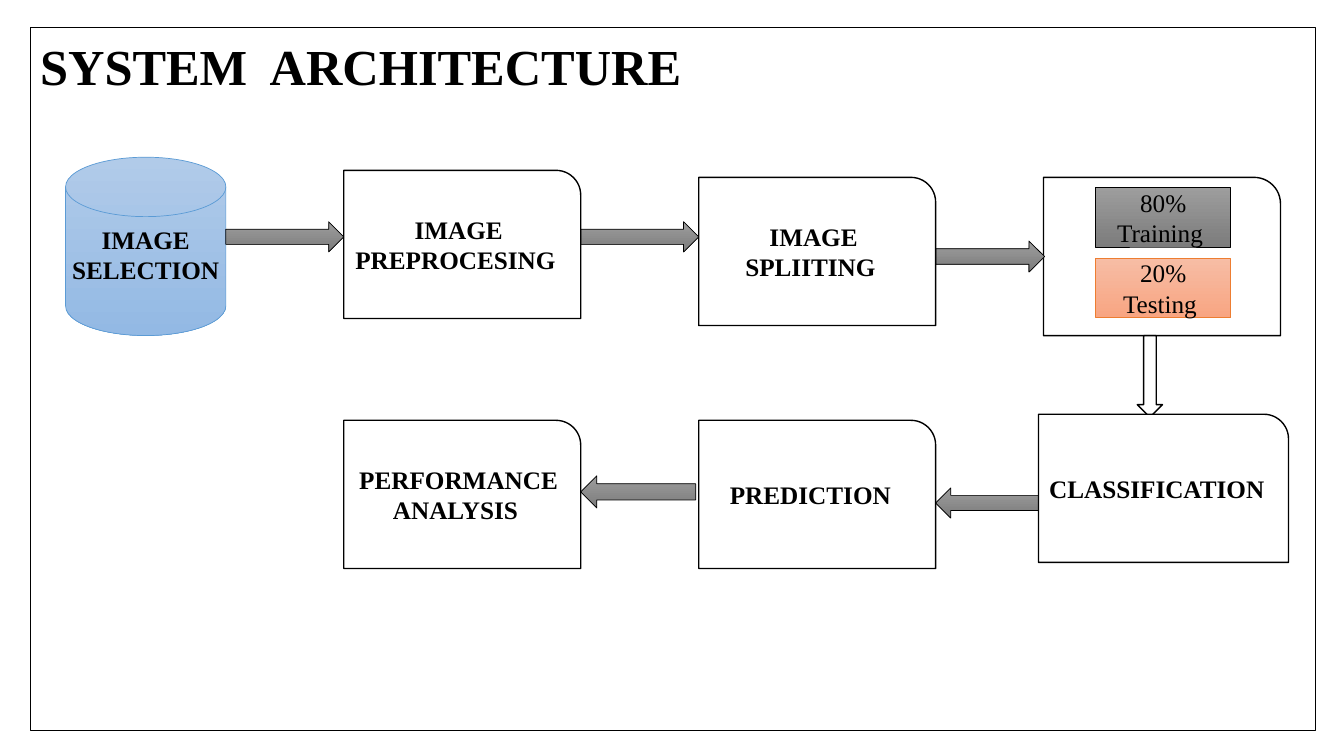
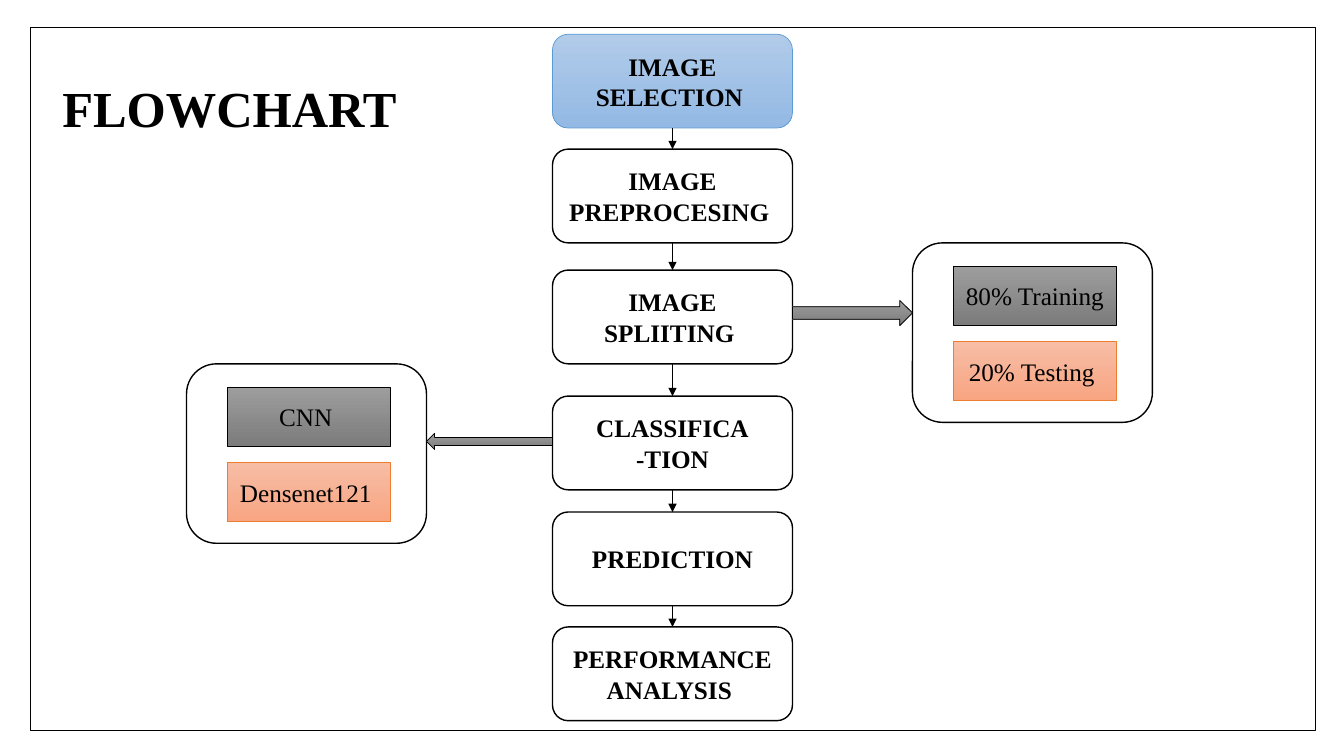
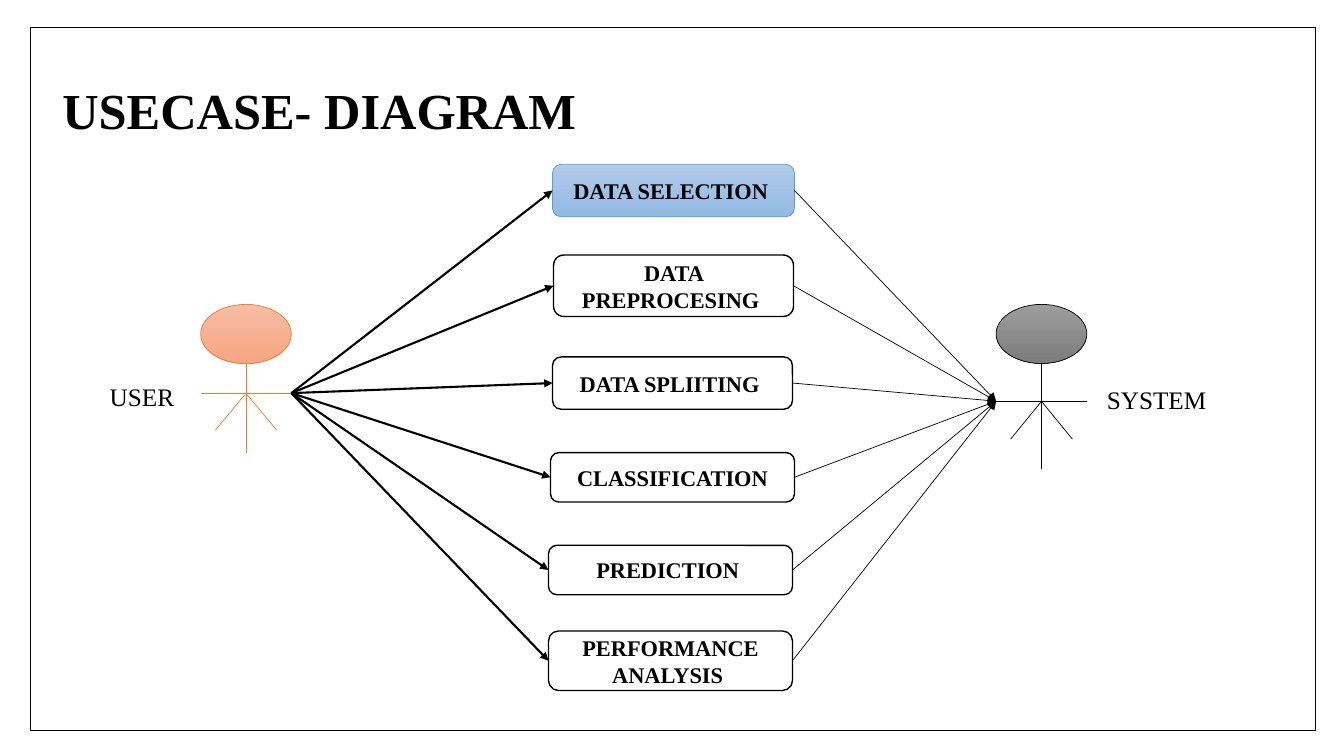
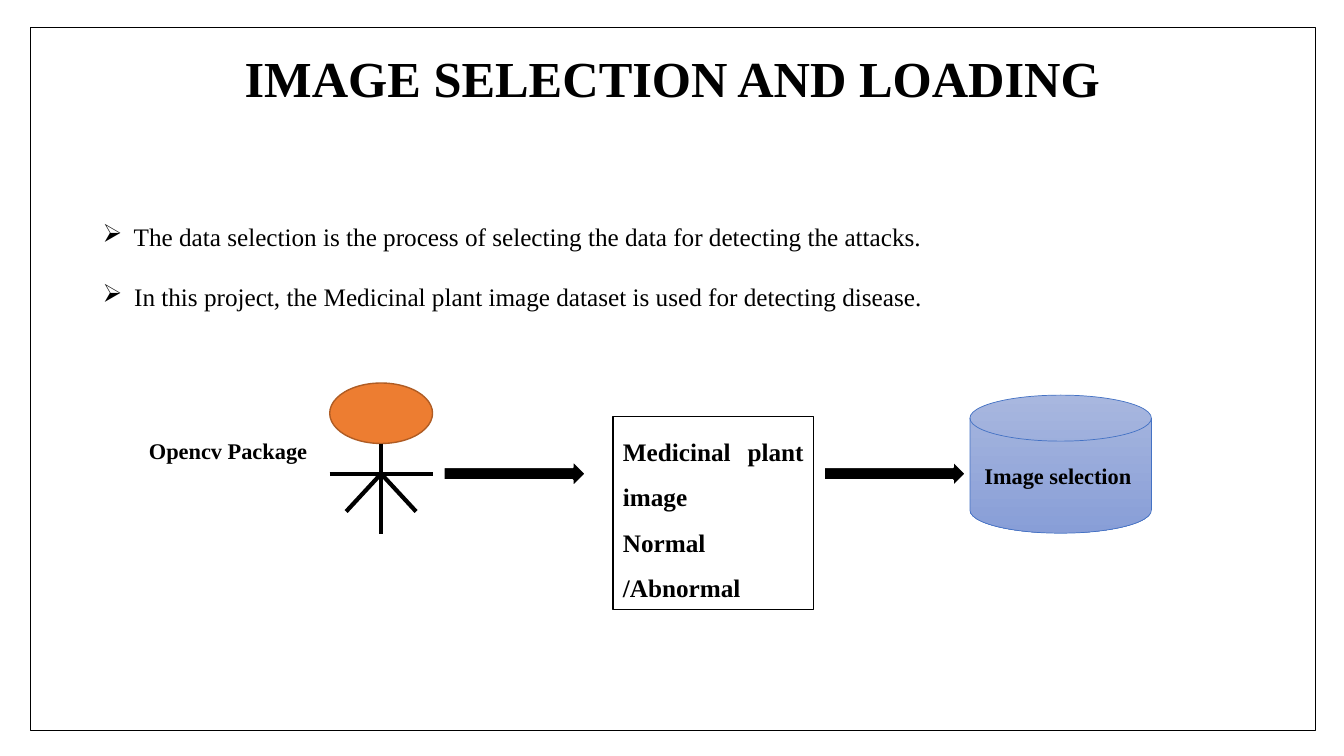
from lxml import etree
from pptx import Presentation
from pptx import util as u
from pptx.dml.color import RGBColor
from pptx.enum import shapes, text
from pptx.oxml.ns import qn

SHAPE = shapes.MSO_SHAPE
ALIGN = text.PP_ALIGN
ANCHOR = text.MSO_ANCHOR

# Shared look: every length below is in grid cells of a tenth of an inch
CELL = 0.1
FONT = "Times New Roman"
BLACK, WHITE, ORANGE = "000000", "FFFFFF", "ED7D31"

# Styles: (fill or gradient ends, line colour, line width)
PLAIN = (WHITE, BLACK, 1)
OPEN = (None, BLACK, 1)
BLUE = (("B1CBE9", "93B9E4"), "5B9BD5", 0.5)
GREY = (("9D9D9D", "7C7C7C"), BLACK, 0.5)
PEACH = (("F7BDA5", "F8A582"), ORANGE, 0.5)
INDIGO = (("A8B7DF", "889ED7"), "4472C4", 0.5)
SOLID_ORANGE = (ORANGE, "AF5C24", 1)
SOLID_BLACK = (BLACK, WHITE, 1.5)


def rgb(color):
    return RGBColor.from_string(color)


def cells(*values):
    return [u.Inches(v * CELL) for v in values]


def write(sp, words, size=18, bold=True, align=ALIGN.CENTER,
          anchor=ANCHOR.MIDDLE, spacing=None):
    tf = sp.text_frame
    tf.text = words
    tf.word_wrap = True
    tf.vertical_anchor = anchor
    for p in tf.paragraphs:
        p.alignment = align
        if spacing:
            p.line_spacing = spacing
        for r in p.runs:
            r.font.name = FONT
            r.font.size = u.Pt(size)
            r.font.bold = bold
            r.font.color.rgb = rgb(BLACK)
    return tf


def label(s, box, words, **style):
    return write(s.shapes.add_textbox(*cells(*box)), words, **style)


def shape(s, kind, box, style, words=None, **text_style):
    fill, line, width = style
    sp = s.shapes.add_shape(kind, *cells(*box))
    sp.shadow.inherit = False
    if fill is None:
        sp.fill.background()
    elif isinstance(fill, str):
        sp.fill.solid()
        sp.fill.fore_color.rgb = rgb(fill)
    else:
        sp.fill.gradient()
        sp.fill.gradient_angle = 270
        for stop, color in zip(sp.fill.gradient_stops, fill):
            stop.color.rgb = rgb(color)
    sp.line.color.rgb = rgb(line)
    sp.line.width = u.Pt(width)
    if words:
        write(sp, words, **text_style)
    return sp


def line(s, start, end, color=BLACK, width=0.5, arrow=False):
    cx = s.shapes.add_connector(shapes.MSO_CONNECTOR.STRAIGHT,
                                *cells(*start, *end))
    cx.line.color.rgb = rgb(color)
    cx.line.width = u.Pt(width)
    if arrow:
        etree.SubElement(cx.line._get_or_add_ln(), qn("a:tailEnd"), type="triangle")
    etree.SubElement(cx._element.spPr, qn("a:effectLst"))


def new_slide(prs, title, box, align=ALIGN.LEFT):
    """Blank slide with the shared frame and title."""
    s = prs.slides.add_slide(prs.slide_layouts[6])
    shape(s, SHAPE.RECTANGLE, (3, 2.7, 127.5, 69.8), OPEN)
    label(s, box, title, size=36, align=align, spacing=0.9)
    return s


def pair_panel(s, kind, box, names, inset=(0.17, 0.68), rows=(0.13, 0.55), height=0.33):
    """Outlined panel with a grey bar above a peach one, placed by shares."""
    x, y, w, h = box
    shape(s, kind, box, PLAIN)
    left, width = inset
    for name, row, style in zip(names, rows, (GREY, PEACH)):
        bar = (x + left * w, y + row * h, width * w, height * h)
        shape(s, SHAPE.RECTANGLE, bar, style, name, bold=False)


def stick_figure(s, box, style, color, width=0.5, joints=(0.4, 0.6, 0.85)):
    """Actor whose neck, arms and feet sit at shares of the box height."""
    x, y, w, h = box
    neck, arms, feet = (y + share * h for share in joints)
    mid = x + w / 2
    shape(s, SHAPE.OVAL, (x, y, w, neck - y), style)
    for start, end in (((mid, neck), (mid, y + h)),
                       ((x, arms), (x + w, arms)),
                       ((mid, arms), (x + 0.16 * w, feet)),
                       ((mid, arms), (x + 0.84 * w, feet))):
        line(s, start, end, color, width)


def architecture(prs):
    s = new_slide(prs, "SYSTEM  ARCHITECTURE", (3, 2.9, 116.6, 8))
    # Image store
    tf = shape(s, SHAPE.FLOWCHART_MAGNETIC_DISK, (6.5, 15.6, 15.9, 17.7), BLUE,
               "IMAGE SELECTION").text_frame
    tf.margin_left = tf.margin_right = 0
    tf.margin_bottom = u.Inches(0.18)
    # Data split
    pair_panel(s, SHAPE.ROUND_1_RECTANGLE, (103.5, 17.6, 23.5, 15.7),
               ("80% Training ", "20% Testing "), (0.22, 0.57), (0.064, 0.51), 0.376)
    # Arrows
    for kind, box, style in (
            (SHAPE.RIGHT_ARROW, (22.4, 22, 11.7, 3), GREY),
            (SHAPE.RIGHT_ARROW, (57.6, 22, 11.7, 3), GREY),
            (SHAPE.RIGHT_ARROW, (92.8, 23.9, 10.8, 3.1), GREY),
            (SHAPE.DOWN_ARROW, (112.8, 33.3, 2.5, 8.1), PLAIN),
            (SHAPE.LEFT_ARROW, (92.8, 48.4, 10.2, 3), GREY),
            (SHAPE.LEFT_ARROW, (57.6, 47.2, 11.4, 3.2), GREY)):
        shape(s, kind, box, style)
    # Steps
    for x, y, w, name in ((34.1, 16.9, 23.5, "IMAGE PREPROCESING "),
                          (69.3, 17.6, 23.5, "IMAGE SPLIITING "),
                          (103, 41.1, 24.8, "CLASSIFICATION "),
                          (69.3, 41.7, 23.5, "PREDICTION "),
                          (34.1, 41.7, 23.5, "PERFORMANCE ANALYSIS ")):
        shape(s, SHAPE.ROUND_1_RECTANGLE, (x, y, w, 14.7), PLAIN, name)


def flowchart(prs):
    s = new_slide(prs, "FLOWCHART", (5.2, 3.9, 45.1, 14.3))
    # Column of steps, each joined to the one above
    x, w, h = 54.8, 23.8, 9.3
    steps = ((3.4, "IMAGE SELECTION "), (14.8, "IMAGE PREPROCESING "),
             (26.8, "IMAGE SPLIITING "), (39.3, "CLASSIFICA\n-TION"),
             (50.8, "PREDICTION"), (62.2, "PERFORMANCE ANALYSIS "))
    above = None
    for y, name in steps:
        shape(s, SHAPE.ROUNDED_RECTANGLE, (x, y, w, h), PLAIN if above else BLUE, name)
        if above:
            line(s, (x + w / 2, above + h), (x + w / 2, y), arrow=True)
        above = y
    # Side panels
    for box, names in (((90.5, 24.1, w, 17.8), ("80% Training ", "20% Testing ")),
                       ((18.5, 36.1, w, 17.8), ("CNN ", "Densenet121 "))):
        pair_panel(s, SHAPE.ROUNDED_RECTANGLE, box, names)
    shape(s, SHAPE.RIGHT_ARROW, (78.6, 29.8, 11.9, 2.5), GREY)
    shape(s, SHAPE.LEFT_ARROW, (42.3, 43, 12.5, 1.6), GREY)


def use_case(prs):
    s = new_slide(prs, "USECASE- DIAGRAM", (5.2, 4, 115, 14.5))
    # Actors
    stick_figure(s, (19.9, 30.2, 9, 14.7), PEACH, ORANGE)
    stick_figure(s, (98.8, 30.2, 9, 16.3), GREY, BLACK, joints=(0.36, 0.59, 0.82))
    for box, name in (((9.9, 37.3, 10, 4), "USER"), ((108.8, 37.6, 13, 4), "SYSTEM")):
        label(s, box, name, bold=False, align=ALIGN.LEFT, anchor=ANCHOR.TOP)
    # Cases, each joined to both actors' hands
    user_hand, system_hand = (28.9, 39), (98.8, 39.8)
    for x, y, w, h, name in ((54.8, 16.3, 24, 5.2, "DATA SELECTION "),
                             (54.9, 25.3, 23.8, 6.1, "DATA PREPROCESING "),
                             (54.8, 35.4, 23.8, 5.2, "DATA SPLIITING "),
                             (54.6, 44.9, 24.2, 4.9, "CLASSIFICATION"),
                             (54.4, 54.1, 24.2, 4.9, "PREDICTION "),
                             (54.4, 62.6, 24.2, 5.9, "PERFORMANCE ANALYSIS ")):
        style = BLUE if name == "DATA SELECTION " else PLAIN
        shape(s, SHAPE.ROUNDED_RECTANGLE, (x, y, w, h), style, name, size=16)
        line(s, user_hand, (x, y + h / 2), width=1.5, arrow=True)
        line(s, (x + w, y + h / 2), system_hand, arrow=True)


def bullets(s, box, items):
    tf = s.shapes.add_textbox(*cells(*box)).text_frame
    tf.text = "\n".join(items)
    tf.word_wrap = True
    for i, p in enumerate(tf.paragraphs):
        pPr = p._p.get_or_add_pPr()
        pPr.set("marL", str(u.Inches(0.25)))
        pPr.set("indent", str(-u.Inches(0.25)))
        etree.SubElement(pPr, qn("a:buChar"), char="➢")
        p.alignment = ALIGN.JUSTIFY
        p.line_spacing = 1.5
        if i:
            p.space_before = u.Pt(10)
        for r in p.runs:
            r.font.name = FONT
            r.font.size = u.Pt(18)
            r.font.color.rgb = rgb(BLACK)


def image_loading(prs):
    s = new_slide(prs, "IMAGE SELECTION AND LOADING", (9.2, 4, 115, 8.2), ALIGN.CENTER)
    bullets(s, (9.2, 20, 115, 15), (
        " The data selection is the process of selecting the data for detecting the attacks.",
        " In this project, the Medicinal plant image dataset is used for detecting disease. "))
    # Loader, images and store
    label(s, (13.4, 42.9, 19, 6.5), "Opencv Package ", size=16, anchor=ANCHOR.TOP)
    stick_figure(s, (32.7, 38, 10.2, 15), SOLID_ORANGE, BLACK, 3)
    shape(s, SHAPE.RECTANGLE, (60.8, 41.3, 19.9, 19.2), (None, BLACK, 0.75),
          "Medicinal plant image\nNormal /Abnormal ", align=ALIGN.JUSTIFY,
          anchor=ANCHOR.TOP, spacing=1.5)
    shape(s, SHAPE.FLOWCHART_MAGNETIC_DISK, (96.2, 39.2, 18, 13.7), INDIGO,
          "Image selection ", size=16)
    for x in (44, 81.7):
        shape(s, SHAPE.RIGHT_ARROW, (x, 45.7, 14.1, 2.6), SOLID_BLACK)


def main():
    prs = Presentation()
    prs.slide_width, prs.slide_height = u.Inches(13.33), u.Inches(7.5)
    for build in (architecture, flowchart, use_case, image_loading):
        build(prs)
    prs.save("out.pptx")


if __name__ == "__main__":
    main()
